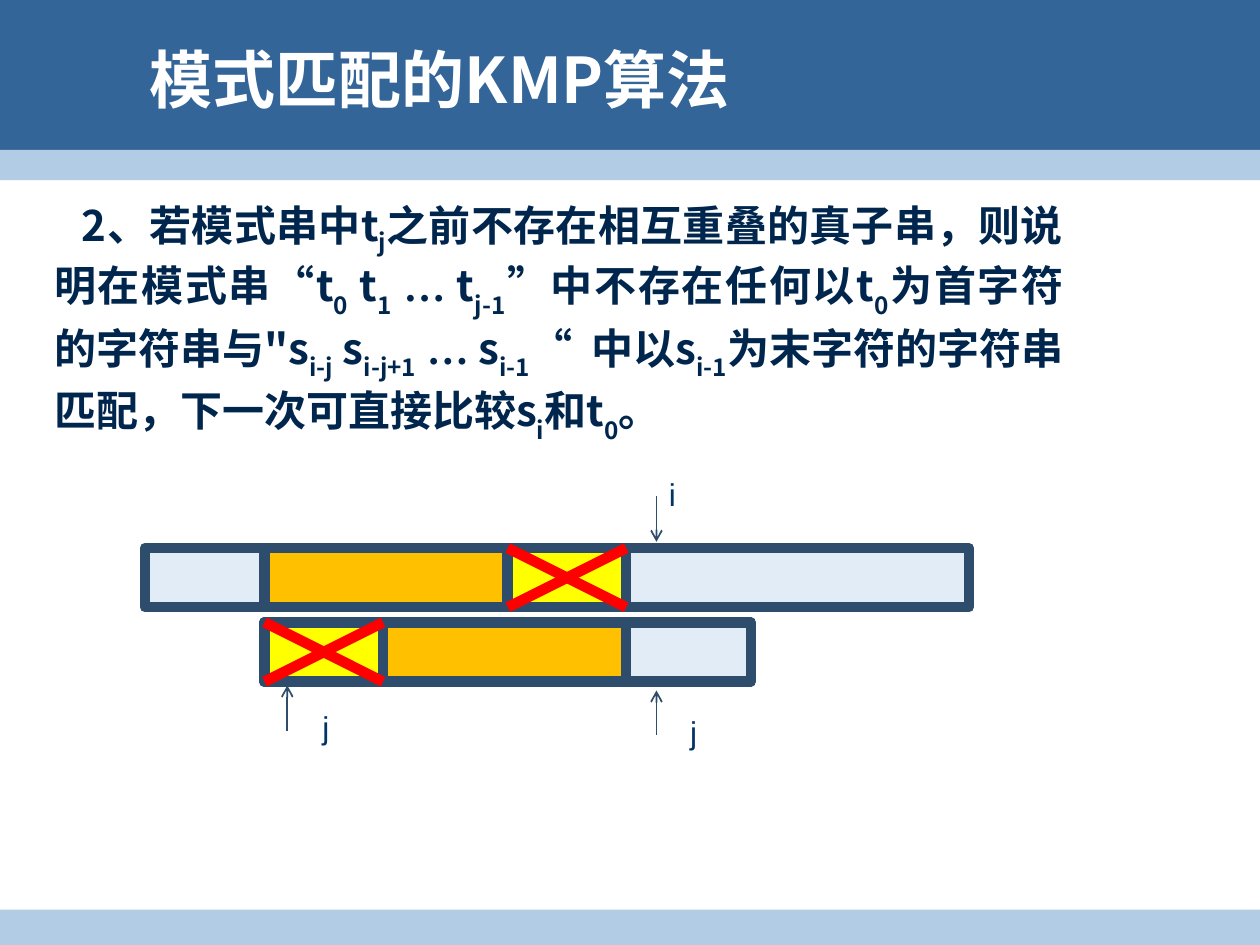
"""Build the slide on the KMP pattern matching algorithm."""
from lxml import etree
from pptx import Presentation
from pptx.dml.color import RGBColor
from pptx.enum.shapes import MSO_CONNECTOR as CONN, MSO_SHAPE as SHAPE
from pptx.enum.text import MSO_ANCHOR as ANCHOR, MSO_AUTO_SIZE as AUTO, PP_ALIGN as ALIGN
from pptx.oxml.ns import qn
from pptx.util import Inches, Pt

COLORS = {
    "header": "336599", "band": "B3CCE6", "title": "FFFFFF", "body": "00264D",
    "label": "003366", "outline": "2E4C6B", "pale": "E2ECF6",
    "orange": "FFC000", "yellow": "FFFF00", "cross": "FF0000",
}
CJK, SERIF, SANS = "Noto Sans CJK SC", "Times New Roman", "Arial"


class SlideBuilder:
    """Hold the style and the current slide."""

    def __init__(self, prs):
        self.s = prs.slides.add_slide(prs.slide_layouts[1])

    def color(self, name):
        return RGBColor.from_string(COLORS[name])

    def style(self, r, size, color, font=CJK, bold=False, base=0):
        f = r.font
        f.size, f.name, f.bold = Pt(size), font, bold
        f.color.rgb = self.color(color)
        rPr = r._r.get_or_add_rPr()
        rPr.set("lang", "zh-CN")
        etree.SubElement(rPr, qn("a:ea")).set("typeface", CJK)
        if base:
            rPr.set("baseline", str(base * 1000))

    def place(self, sp, x, y, w, h):
        sp.left, sp.top, sp.width, sp.height = map(Inches, (x, y, w, h))
        tf = sp.text_frame
        tf.word_wrap, tf.auto_size = True, AUTO.NONE
        return tf

    def title(self, text, *box):
        tf = self.place(self.s.shapes.title, *box)
        tf.vertical_anchor = ANCHOR.MIDDLE
        tf.text = text
        p = tf.paragraphs[0]
        p.alignment = ALIGN.LEFT
        self.style(p.runs[0], 36, "title", bold=True)

    def body(self, parts, *box):
        tf = self.place(self.s.placeholders[1], *box)
        tf.vertical_anchor = ANCHOR.TOP
        p = tf.paragraphs[0]
        p.alignment, p.line_spacing, p.space_before = ALIGN.JUSTIFY, 1.05, Pt(0)
        pPr = p._p.get_or_add_pPr()
        pPr.set("marL", "0")
        pPr.set("indent", str(Inches(0.22)))
        etree.SubElement(pPr, qn("a:buNone"))
        for text, base in parts:
            r = p.add_run()
            r.text = text
            font = SERIF if text.strip() in "“”…" else CJK
            self.style(r, 24, "body", font, True, base)

    def rect(self, fill, x, y, w, h, outline=True):
        sp = self.s.shapes.add_shape(SHAPE.RECTANGLE, *map(Inches, (x, y, w, h)))
        sp.shadow.inherit = False
        sp.fill.solid()
        sp.fill.fore_color.rgb = self.color(fill)
        if outline:
            sp.line.color.rgb = self.color("outline")
            sp.line.width = Pt(6)
        else:
            sp.line.fill.background()
        return sp

    def bands(self, bands):
        for i, (fill, y, h) in enumerate(bands):
            el = self.rect(fill, 0, y, 10, h, outline=False)._element
            el.getparent().insert(2 + i, el)

    def line(self, color, width, x1, y1, x2, y2, arrow=False):
        c = self.s.shapes.add_connector(CONN.STRAIGHT, *map(Inches, (x1, y1, x2, y2)))
        c.line.color.rgb = self.color(color)
        c.line.width = Pt(width)
        if arrow:
            etree.SubElement(c.line._get_or_add_ln(), qn("a:tailEnd")).set("type", "arrow")
        etree.SubElement(c._element.spPr, qn("a:effectLst"))

    def label(self, text, x, y):
        tb = self.s.shapes.add_textbox(*map(Inches, (x, y, 0.3, 0.4)))
        tf = tb.text_frame
        tf.word_wrap = True
        tf.text = text
        self.style(tf.paragraphs[0].runs[0], 18, "label", SANS)

    def pointer(self, text, x, y1, y2, label_x, label_y):
        self.line("outline", 1, x, y1, x, y2, arrow=True)
        self.label(text, label_x, label_y)

    def crossed(self, x, y, w, h):
        self.rect("yellow", x, y, w, h)
        self.line("cross", 6, x, y, x + w, y + h)
        self.line("cross", 6, x + w, y, x, y + h)


prs = Presentation()
prs.slide_width, prs.slide_height = Inches(10), Inches(7.5)
b = SlideBuilder(prs)
b.bands([("header", 0, 1.31), ("band", 1.19, 0.24), ("band", 7.22, 0.28)])
b.title("模式匹配的KMP算法", 1.09, 0.16, 8.48, 0.92)
b.body([
    ("2、若模式串中t", 0), ("j", -25),
    ("之前不存在相互重叠的真子串，则说明在模式串", 0),
    ("“", 0), ("t", 0), ("0", -30), (" t", 0), ("1", -30), (" …", 0),
    (" t", 0), ("j-1", -30), ("”", 0),
    ("中不存在任何以t", 0), ("0", -30), ("为首字符的字符串与\"s", 0),
    ("i-j", -30), (" s", 0), ("i-j+1", -30), (" …", 0), (" s", 0), ("i-1", -30),
    ("“  ", 0), ("中以s", 0), ("i-1", -30),
    ("为末字符的字符串匹配，下一次可直接比较s", 0), ("i", -30),
    ("和t", 0), ("0", -30), ("。", 0),
], 0.33, 1.51, 8.21, 2.04)

text_y, pattern_y, bar_h = 4.35, 4.94, 0.47
match_x, match_w, cell_w = 2.1, 2.87, 0.94
b.rect("pale", match_x, pattern_y, 3.86, bar_h)
b.rect("pale", 1.15, text_y, 6.54, bar_h)
for y in (text_y, pattern_y):
    b.rect("orange", match_x, y, match_w, bar_h)
for pointer in (
    ("i", 5.21, 3.94, 4.3, 5.21, 3.72),
    ("j", 5.21, 5.83, 5.48, 5.38, 5.61),
    ("j", 2.28, 5.8, 5.44, 2.46, 5.57),
):
    b.pointer(*pointer)
b.crossed(match_x + match_w - cell_w, text_y, cell_w, bar_h)
b.crossed(match_x, pattern_y, cell_w, bar_h)

prs.save("out.pptx")
